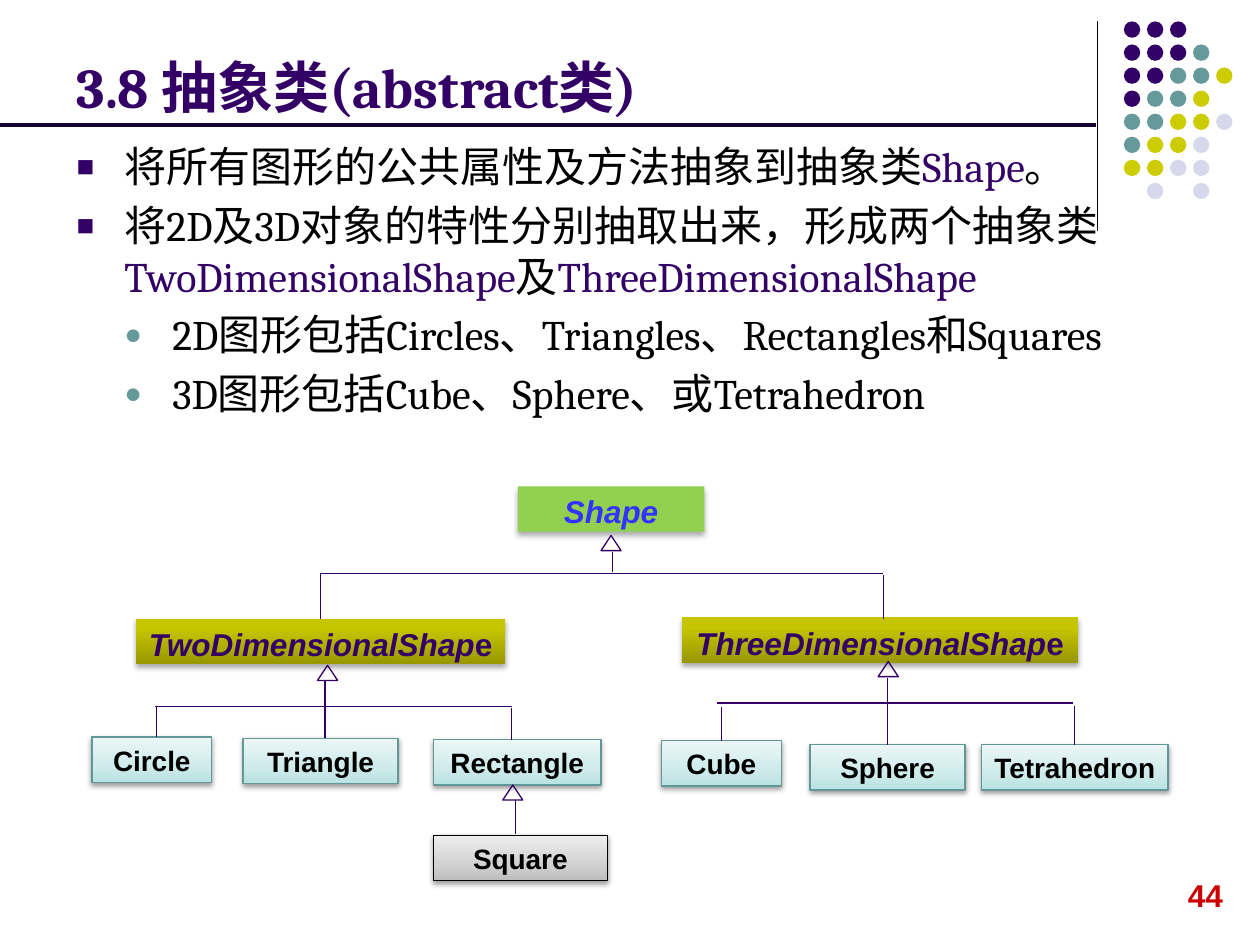
import lxml.etree
import pptx
import pptx.dml.color
import pptx.enum.shapes
import pptx.enum.text
import pptx.oxml.ns
import pptx.util

Inches = pptx.util.Inches
Pt = pptx.util.Pt
SHAPES = pptx.enum.shapes.MSO_SHAPE
ALIGN = pptx.enum.text.PP_ALIGN
ANCHOR = pptx.enum.text.MSO_ANCHOR

PURPLE, TEAL, OLIVE, LAVENDER, BLACK = "330066", "669999", "CCCC00", "D8D8EC", "000000"
DOT_COLOURS = {"P": PURPLE, "T": TEAL, "O": OLIVE, "L": LAVENDER}
DOT_ROWS = ["PPP", "PPPT", "PPTTO", "PTTO", "TTOOL", "TOOL", "OOLL", " L L"]

ROOT = dict(fill="92D050", line=None, shadow=(32, 3.5, 2.2), size=18, colour="3333FF")
ABSTRACT = dict(fill=[(0, "989800"), (80, "C6C600"), (100, "C7C700")], line=None,
                shadow=(35, 3.1, 1.8), size=18, colour=PURPLE)
CONCRETE = dict(fill=[(0, "B9E2E2"), (35, "CEEAEA"), (100, "ECF7F7")], line="639797",
                shadow=(38, 3.1, 1.6), size=16, colour=BLACK)
DERIVED = dict(CONCRETE, fill=[(0, "BDBDBD"), (35, "D1D1D1"), (100, "EEEEEE")], line=BLACK)

NODES = [
    ([("Shape", True)], 3.38, 0, 1.48, ROOT),
    ([("TwoDimensionalShap", True), ("e", False)], 0.35, 1.05, 2.93, ABSTRACT),
    ([("ThreeDimensionalShap", True), ("e", False)], 4.68, 1.04, 3.15, ABSTRACT),
    ([("Circle", False)], 0, 1.99, 0.95, CONCRETE),
    ([("Triangle", False)], 1.2, 2, 1.23, CONCRETE),
    ([("Rectangle", False)], 2.71, 2.01, 1.33, CONCRETE),
    ([("Square", False)], 2.71, 2.77, 1.38, DERIVED),
    ([("Cube", False)], 4.52, 2.02, 0.95, CONCRETE),
    ([("Sphere", False)], 5.7, 2.05, 1.23, CONCRETE),
    ([("Tetrahedron", False)], 7.06, 2.05, 1.48, CONCRETE),
]
ARROWHEADS = [(4.04, 0.39), (1.79, 1.42), (3.26, 2.37), (6.24, 1.39)]
BARS = [(1.81, 6.28, 0.69), (0.5, 3.33, 1.75), (4.96, 7.79, 1.72)]
STEMS = [(4.13, 0.52, 0.68), (6.28, 0.7, 1.05), (0.51, 1.74, 1.99), (1.85, 1.54, 2),
         (3.33, 1.76, 2.01), (3.36, 2.49, 2.76)]
JOINED_STEMS = [("TwoDimensionalShape", 0.69), ("Cube", 1.75), ("Sphere", 1.52),
                ("Tetrahedron", 1.74)]

BODY = [
    (0, [("将所有图形的公共属性及方法抽象到抽象类", BLACK), ("Shape", PURPLE), ("。", BLACK)]),
    (0, [("将2D及3D对象的特性分别抽取出来，形成两个抽象类", BLACK),
         ("TwoDimensionalShape", PURPLE), ("及", BLACK), ("ThreeDimensionalShape", PURPLE)]),
    (1, [("2D图形包括Circles、Triangles、Rectangles和Squares", BLACK)]),
    (1, [("3D图形包括Cube、Sphere、或Tetrahedron", BLACK)]),
]
BULLETS = [("■", PURPLE), ("●", TEAL)]


def rgb(value):
    return pptx.dml.color.RGBColor.from_string(value)


def add_element(parent, tag, **attributes):
    element = lxml.etree.SubElement(parent, pptx.oxml.ns.qn(tag))
    for name, value in attributes.items():
        element.set(name, str(value))
    return element


def set_font(font, name, size, colour=None, bold=False):
    font.name = name
    font.size = Pt(size)
    font.bold = bold
    if colour:
        font.color.rgb = rgb(colour)


def add_line(shapes, x1, y1, x2, y2, colour=PURPLE, width=0.75):
    line = shapes.add_connector(pptx.enum.shapes.MSO_CONNECTOR.STRAIGHT,
                                Inches(x1), Inches(y1), Inches(x2), Inches(y2))
    line.line.color.rgb = rgb(colour)
    line.line.width = Pt(width)
    add_element(line._element.spPr, "a:effectLst")
    return line


def add_text_frame(slide, left, top, width, height, wrap=True):
    box = slide.shapes.add_textbox(Inches(left), Inches(top), Inches(width), Inches(height))
    box.text_frame.word_wrap = wrap
    return box.text_frame


def add_single_line(frame, text, name, size, colour):
    paragraph = frame.paragraphs[0]
    paragraph.text = text
    set_font(paragraph.font, name, size, colour, bold=True)


def add_dots(slide, left, top, step, diameter):
    group = slide.shapes.add_group_shape()
    for row, pattern in enumerate(DOT_ROWS):
        for column, key in enumerate(pattern):
            if key not in DOT_COLOURS:
                continue
            dot = group.shapes.add_shape(
                SHAPES.OVAL, Inches(left + column * step), Inches(top + row * step),
                Inches(diameter), Inches(diameter))
            dot.shadow.inherit = False
            dot.fill.solid()
            dot.fill.fore_color.rgb = rgb(DOT_COLOURS[key])
            dot.line.fill.background()


def add_title(slide, left, top, width, height):
    frame = add_text_frame(slide, left, top, width, height)
    frame.vertical_anchor = ANCHOR.BOTTOM
    add_single_line(frame, "3.8 抽象类(abstract类)", "Cambria", 32, PURPLE)


def add_body(slide, left, top, width, height):
    frame = add_text_frame(slide, left, top, width, height)
    for index, (level, runs) in enumerate(BODY):
        paragraph = frame.paragraphs[0] if index == 0 else frame.add_paragraph()
        paragraph.level = level
        if index:
            paragraph.space_before = Pt(4.8)
        properties = paragraph._p.get_or_add_pPr()
        properties.set("marL", str(Inches(0.38 * (level + 1))))
        properties.set("indent", str(Inches(-0.38)))
        character, colour = BULLETS[level]
        add_element(add_element(properties, "a:buClr"), "a:srgbClr", val=colour)
        add_element(properties, "a:buSzPct", val=70000)
        add_element(properties, "a:buFont", typeface="Arial")
        add_element(properties, "a:buChar", char=character)
        set_font(paragraph.font, "Cambria", 24)
        for text, run_colour in runs:
            run = paragraph.add_run()
            run.text = text
            run.font.color.rgb = rgb(run_colour)


def fill_gradient(shape, stops):
    shape.fill.gradient()
    shape.fill.gradient_angle = 90
    stop_list = shape._element.spPr.find(".//" + pptx.oxml.ns.qn("a:gsLst"))
    for stop in list(stop_list):
        stop_list.remove(stop)
    for position, colour in stops:
        stop = add_element(stop_list, "a:gs", pos=position * 1000)
        add_element(stop, "a:srgbClr", val=colour)


def add_shadow(shape, opacity, blur, distance):
    shape.shadow.inherit = False
    effects = shape._element.spPr.find(pptx.oxml.ns.qn("a:effectLst"))
    shadow = add_element(effects, "a:outerShdw", blurRad=Pt(blur), dist=Pt(distance),
                         dir=5400000, rotWithShape=0)
    colour = add_element(shadow, "a:srgbClr", val=BLACK)
    add_element(colour, "a:alpha", val=opacity * 1000)


def add_node(shapes, runs, left, top, width, style):
    node = shapes.add_shape(SHAPES.RECTANGLE, Inches(left), Inches(top),
                            Inches(width), Inches(0.36))
    if isinstance(style["fill"], str):
        node.fill.solid()
        node.fill.fore_color.rgb = rgb(style["fill"])
    else:
        fill_gradient(node, style["fill"])
    if style["line"]:
        node.line.color.rgb = rgb(style["line"])
        node.line.width = Pt(0.75)
    else:
        node.line.fill.background()
    add_shadow(node, *style["shadow"])
    frame = node.text_frame
    frame.word_wrap = False
    frame.vertical_anchor = ANCHOR.TOP
    paragraph = frame.paragraphs[0]
    paragraph.alignment = ALIGN.CENTER
    set_font(paragraph.font, "Arial", style["size"], style["colour"], bold=True)
    for text, italic in runs:
        run = paragraph.add_run()
        run.text = text
        run.font.italic = italic
    return node


def add_class_diagram(slide, left, top):
    shapes = slide.shapes.add_group_shape().shapes
    nodes = {}
    for runs, x, y, width, style in NODES:
        node = add_node(shapes, runs, left + x, top + y, width, style)
        nodes[node.text_frame.text] = node
    for x, y in ARROWHEADS:
        arrowhead = shapes.add_shape(SHAPES.ISOSCELES_TRIANGLE, Inches(left + x),
                                     Inches(top + y), Inches(0.16), Inches(0.12))
        arrowhead.shadow.inherit = False
        arrowhead.fill.background()
        arrowhead.line.color.rgb = rgb(PURPLE)
        arrowhead.line.width = Pt(0.75)
    for start, end, y in BARS:
        add_line(shapes, left + start, top + y, left + end, top + y)
    for x, start, end in STEMS:
        add_line(shapes, left + x, top + start, left + x, top + end)
    for name, start in JOINED_STEMS:
        node = nodes[name]
        x = (node.left + node.width / 2) / Inches(1)
        stem = add_line(shapes, x, top + start, x, node.top / Inches(1))
        stem.end_connect(node, 0)


def add_page_number(slide, left, top, width, height):
    frame = add_text_frame(slide, left, top, width, height, wrap=False)
    add_single_line(frame, "44", "Arial", 18, "CC0000")


def main():
    presentation = pptx.Presentation()
    presentation.slide_width = Inches(10)
    presentation.slide_height = Inches(7.5)
    slide = presentation.slides.add_slide(presentation.slide_layouts[6])
    add_line(slide.shapes, 8.71, 0.17, 8.71, 1.83, BLACK)
    add_dots(slide, 8.92, 0.17, 0.183, 0.13)
    add_page_number(slide, 9.33, 6.9, 0.48, 0.4)
    add_title(slide, 0.51, 0.21, 8.25, 0.79)
    add_body(slide, 0.51, 1.07, 8.76, 5.67)
    add_class_diagram(slide, 0.73, 3.86)
    add_line(slide.shapes, 0, 0.99, 8.7, 0.99, "190033", 2.25)
    presentation.save("out.pptx")


if __name__ == "__main__":
    main()
